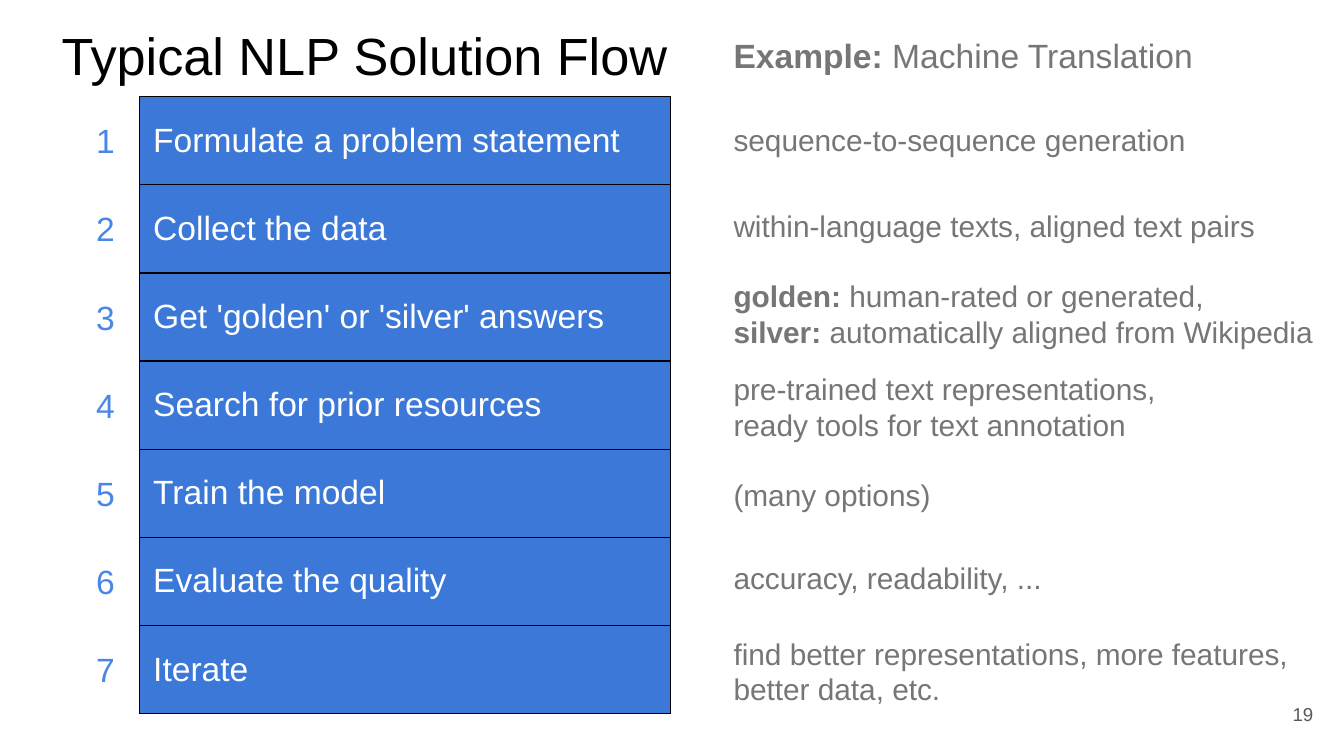
from lxml import etree
from pptx import Presentation
from pptx.dml.color import RGBColor
from pptx.enum.text import MSO_ANCHOR, PP_ALIGN
from pptx.oxml.ns import qn
from pptx.util import Inches, Pt

MIDDLE, TOP = MSO_ANCHOR.MIDDLE, MSO_ANCHOR.TOP
LEFT, CENTER, RIGHT = PP_ALIGN.LEFT, PP_ALIGN.CENTER, PP_ALIGN.RIGHT
COLORS = {"title": "000000", "step": "3C78D8", "label": "FFFFFF", "number": "4A86E8",
          "example": "767676", "page": "595959", "border": "000000"}
PAGE_WIDTH = 10
PAGE_HEIGHT = PAGE_WIDTH * 9 / 16
INSET = 0.1
TABLE_TOP = 0.72
ROW_HEIGHT = 4.59 / 7
EXAMPLE_LEFT = 5.36
STEPS = ["Formulate a problem statement", "Collect the data", "Get 'golden' or 'silver' answers",
         "Search for prior resources", "Train the model", "Evaluate the quality", "Iterate"]
EXAMPLES = [
    (-0.02, 0.44, [["sequence-to-sequence generation"]]),
    (-0.04, 0.44, [["within-language texts, aligned text pairs"]]),
    (-0.02, 0.75, [["*golden: ", "human-rated or generated,"],
                   ["*silver: ", "automatically aligned from Wikipedia"]]),
    (0.02, 0.75, [["pre-trained text representations,"], ["ready tools for text annotation"]]),
    (0, 0.44, [["(many options)"]]),
    (-0.04, 0.44, [["accuracy, readability, ..."]]),
    (0.02, 0.75, [["find better representations, more features, better data, etc."]]),
]


def write(frame, lines, size, color, align=LEFT):
    for index, line in enumerate(lines):
        para = frame.paragraphs[0] if index == 0 else frame.add_paragraph()
        para.alignment = align
        for part in line:
            span = para.add_run()
            span.text = part.lstrip("*")
            span.font.name = "Arial"
            span.font.size = Pt(size)
            span.font.bold = part.startswith("*")
            span.font.color.rgb = RGBColor.from_string(COLORS[color])


def add_text(left, top, width, height, lines, size, color, align=LEFT, anchor=TOP):
    box = page.shapes.add_textbox(Inches(left), Inches(top), Inches(width), Inches(height))
    frame = box.text_frame
    frame.word_wrap = True
    frame.vertical_anchor = anchor
    frame.margin_left = frame.margin_right = Inches(INSET)
    frame.margin_top = frame.margin_bottom = Inches(INSET)
    write(frame, lines, size, color, align)


deck = Presentation()
deck.slide_width, deck.slide_height = Inches(PAGE_WIDTH), Inches(PAGE_HEIGHT)
page = deck.slides.add_slide(deck.slide_layouts[6])

add_text(9.27, 5.1, 0.6, 0.43, [["19"]], 10, "page", RIGHT, MIDDLE)
add_text(0.36, 0.07, 9.6, 0.63, [["Typical NLP Solution Flow"]], 28, "title")
add_text(EXAMPLE_LEFT, 0.16, 4.07, 0.44, [["*Example:", " Machine Translation"]], 18, "example")

numbers = [str(number) for number in range(1, len(STEPS) + 1)]
for left, top, width, labels, color, align, fill in (
        (1.04, TABLE_TOP, 3.95, STEPS, "label", LEFT, "step"),
        (0.61, TABLE_TOP + 0.01, 0.35, numbers, "number", CENTER, None)):
    table = page.shapes.add_table(len(labels), 1, Inches(left), Inches(top), Inches(width),
                                  Inches(ROW_HEIGHT * len(labels))).table
    table.first_row = table.horz_banding = False
    for row, label in enumerate(labels):
        table.rows[row].height = Inches(ROW_HEIGHT)
        cell = table.cell(row, 0)
        cell.vertical_anchor = MIDDLE
        cell.margin_left = cell.margin_right = Inches(INSET)
        cell.margin_top = cell.margin_bottom = Inches(INSET)
        write(cell.text_frame, [[label]], 18, color, align)
        properties = cell._tc.get_or_add_tcPr()
        for side in ("a:lnL", "a:lnR", "a:lnT", "a:lnB"):
            border = etree.SubElement(properties, qn(side), w=str(Pt(0.75)))
            if fill:
                paint = etree.SubElement(border, qn("a:solidFill"))
                etree.SubElement(paint, qn("a:srgbClr"), val=COLORS["border"])
            else:
                etree.SubElement(border, qn("a:noFill"))
        if fill:
            cell.fill.solid()
            cell.fill.fore_color.rgb = RGBColor.from_string(COLORS[fill])
        else:
            cell.fill.background()

for row, (nudge, height, lines) in enumerate(EXAMPLES):
    middle = TABLE_TOP + (row + 0.5) * ROW_HEIGHT + nudge
    add_text(EXAMPLE_LEFT, middle - height / 2, PAGE_WIDTH - EXAMPLE_LEFT, height, lines, 16, "example")

deck.save("out.pptx")
